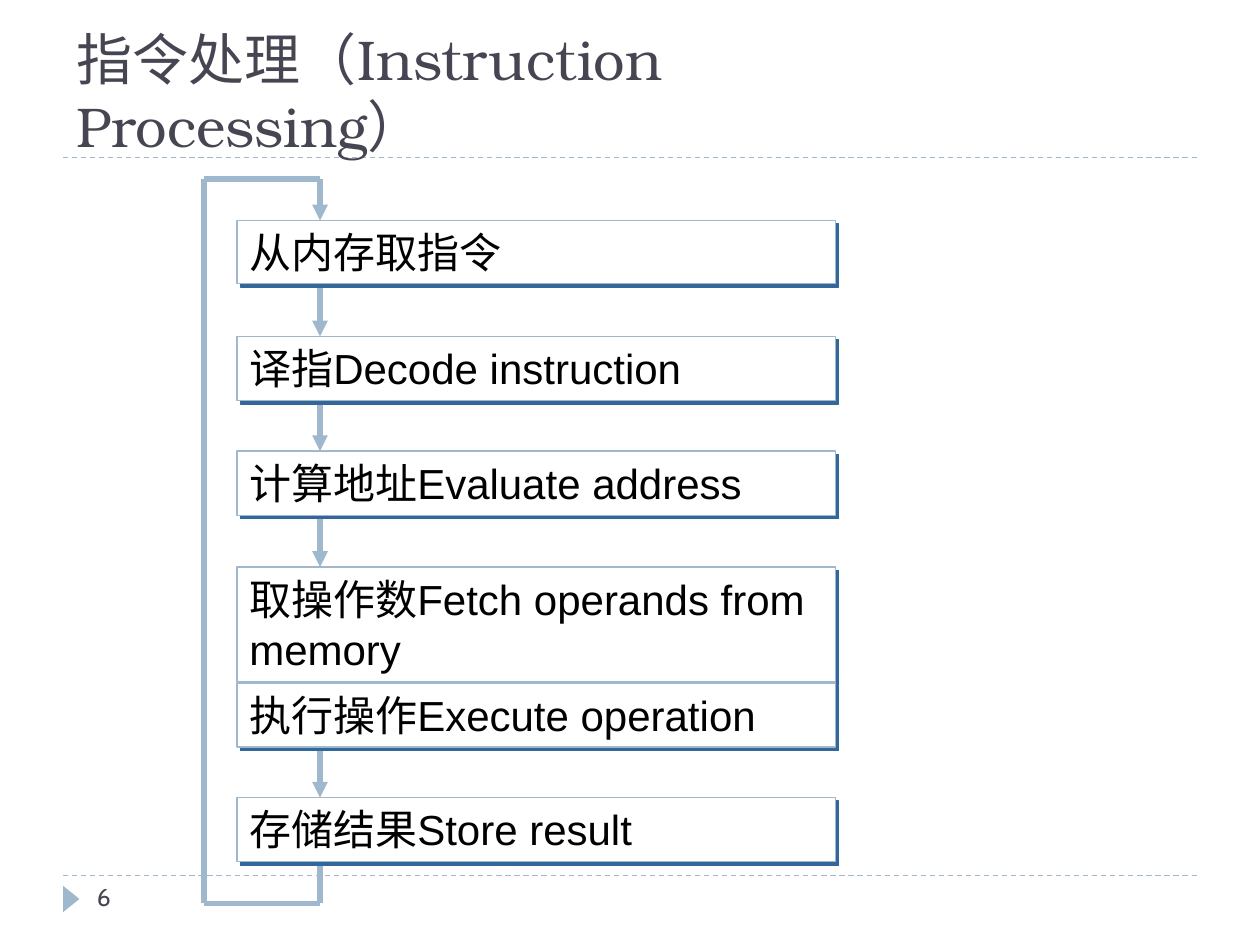
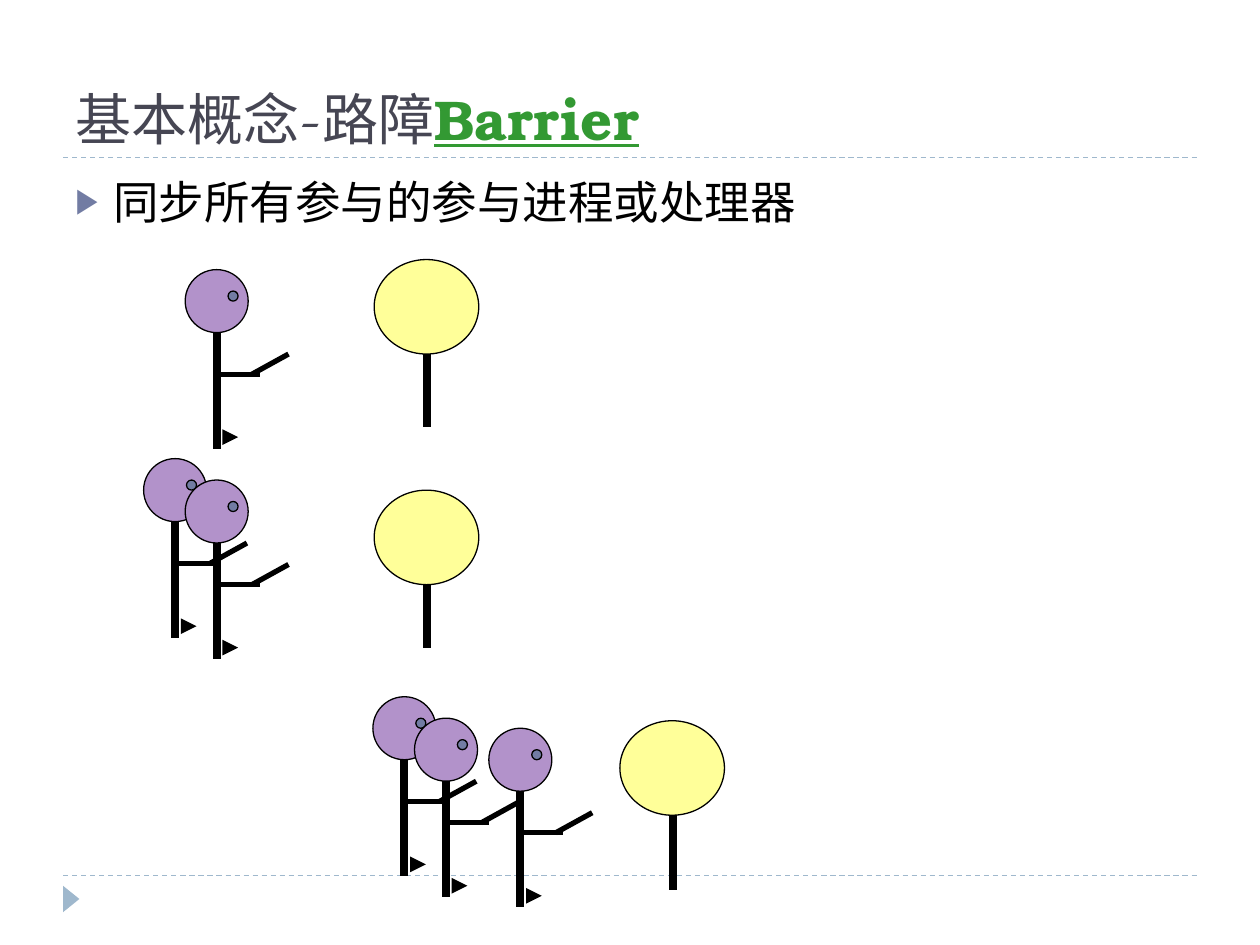
from dataclasses import dataclass
from typing import NamedTuple

from lxml.etree import SubElement
from pptx import Presentation
from pptx.dml.color import RGBColor
from pptx.enum.dml import MSO_LINE
from pptx.enum.shapes import MSO_CONNECTOR, MSO_SHAPE as Shape
from pptx.enum.text import MSO_ANCHOR as Anchor, MSO_AUTO_SIZE as AutoSize, PP_ALIGN as Align
from pptx.oxml.ns import qn
from pptx.util import Emu, Pt

EMU_PER_PX = 9144  # 100 px to the inch


@dataclass(frozen=True)
class Theme:
    title_font: str = "TeX Gyre Bonum"
    body_font: str = "Cabin"
    step_font: str = "Arial"
    title_size: int = 32
    body_size: int = 26
    step_size: int = 24
    small_size: int = 14
    hairline: float = 0.75
    stroke: float = 3
    post: float = 4.5
    ink: str = "000000"
    paper: str = "FFFFFF"
    heading: str = "464653"
    accent: str = "9FB8CD"
    shadow: str = "336699"
    bullet: str = "727CA3"
    keyword: str = "339933"
    head: str = "B292CA"
    sign: str = "FFFF99"


THEME = Theme()


class Box(NamedTuple):
    left: int
    top: int
    width: int
    height: int


class Span(NamedTuple):
    text: str
    color: str = THEME.heading
    strong: bool = False


class Step(NamedTuple):
    text: str
    height: int = 51
    arrow_length: int = 42


class Walker(NamedTuple):
    left: int
    top: int


class Barrier(NamedTuple):
    left: int
    top: int
    post: int


class Limb(NamedTuple):
    start: tuple[int, int]
    end: tuple[int, int]
    width: float = THEME.stroke
    arrow: bool = False


STEPS = [
    Step("从内存取指令", 50, 33),
    Step("译指Decode instruction"),
    Step("计算地址Evaluate address"),
    Step("取操作数Fetch operands from memory", 91),
    Step("执行操作Execute operation"),
    Step("存储结果Store result"),
]
STEP_LEFT, STEP_TOP, STEP_WIDTH = 188, 175, 475
STEP_PITCH = 275 / 3
FLOW_X, LOOP_X, LOOP_TOP, LOOP_BOTTOM = 254, 162, 142, 717

LIMBS = [
    Limb((25, 50), (25, 142), THEME.post),
    Limb((34, 133), (42, 133), arrow=True),
    Limb((25, 83), (59, 83)),
    Limb((53, 83), (82, 67)),
]
CROWDS = [
    [Walker(147, 214)],
    [Walker(114, 364), Walker(147, 381)],
    [Walker(296, 553), Walker(329, 570), Walker(388, 578)],
]
BARRIERS = [Barrier(297, 206, 58), Barrier(297, 389, 50), Barrier(492, 572, 59)]


def px(length: int) -> Emu:
    return Emu(length * EMU_PER_PX)


def rgb(color: str) -> RGBColor:
    return RGBColor.from_string(color)


def set_font(font, name: str, size: int, color: str | None = None) -> None:
    font.name, font.size = name, Pt(size)
    if color:
        font.color.rgb = rgb(color)


def add_line(shapes, start, end, color: str, width: float,
             arrow: bool = False, dashed: bool = False) -> None:
    line = shapes.add_connector(MSO_CONNECTOR.STRAIGHT, *map(px, (*start, *end)))
    line.line.color.rgb = rgb(color)
    line.line.width = Pt(width)
    if dashed:
        line.line.dash_style = MSO_LINE.DASH
    if arrow:
        SubElement(line.line._get_or_add_ln(), qn("a:tailEnd"), type="triangle")
    SubElement(line._element.spPr, qn("a:effectLst"))


def add_figure(shapes, kind: Shape, box: Box, fill: str, outline: str | None = None):
    figure = shapes.add_shape(kind, *map(px, box))
    figure.shadow.inherit = False
    figure.fill.solid()
    figure.fill.fore_color.rgb = rgb(fill)
    if outline:
        figure.line.color.rgb = rgb(outline)
        figure.line.width = Pt(THEME.hairline)
    else:
        figure.line.fill.background()
    return figure


def add_text(page, box: Box, anchor: Anchor = Anchor.TOP):
    """Add a wrapping text box and return its first paragraph."""
    frame = page.shapes.add_textbox(*map(px, box)).text_frame
    frame.word_wrap = True
    frame.vertical_anchor = anchor
    return frame.paragraphs[0]


def add_page(deck, title_box: Box, title: list[Span]):
    """Add a page with the shared rules, corner marker and title."""
    page = deck.slides.add_slide(deck.slide_layouts[6])
    for y in (695, 125):
        add_line(page.shapes, (50, y), (950, y), THEME.accent, THEME.hairline, dashed=True)
    marker = add_figure(page.shapes, Shape.ISOSCELES_TRIANGLE, Box(46, 707, 21, 13), THEME.accent)
    marker.rotation = 90
    para = add_text(page, title_box, Anchor.BOTTOM)
    set_font(para.font, THEME.title_font, THEME.title_size)
    for span in title:
        run = para.add_run()
        run.text = span.text
        run.font.color.rgb = rgb(span.color)
        if span.strong:
            run.font.bold = run.font.underline = True
    return page


def add_hard_shadow(figure) -> None:
    effects = figure._element.spPr.find(qn("a:effectLst"))
    shadow = SubElement(effects, qn("a:outerShdw"), blurRad="0", dist=str(Pt(2.8)),
                        dir="2700000", algn="ctr", rotWithShape="0")
    SubElement(shadow, qn("a:srgbClr"), val=THEME.shadow)


def add_step(page, step: Step, top: int) -> None:
    box = Box(STEP_LEFT, top, STEP_WIDTH, step.height)
    figure = add_figure(page.shapes, Shape.RECTANGLE, box, THEME.paper, THEME.accent)
    add_hard_shadow(figure)
    frame = figure.text_frame
    frame.word_wrap = True
    frame.auto_size = AutoSize.SHAPE_TO_FIT_TEXT
    frame.vertical_anchor = Anchor.TOP
    para = frame.paragraphs[0]
    para.text = step.text
    para.alignment = Align.LEFT
    set_font(para.font, THEME.step_font, THEME.step_size, THEME.ink)


def add_walker(shapes, walker: Walker) -> None:
    left, top = walker
    add_figure(shapes, Shape.OVAL, Box(left, top, 50, 50), THEME.head, THEME.ink)
    for limb in LIMBS:
        start, end = ((left + x, top + y) for x, y in (limb.start, limb.end))
        add_line(shapes, start, end, THEME.ink, limb.width, limb.arrow)
    add_figure(shapes, Shape.OVAL, Box(left + 34, top + 17, 8, 8), THEME.bullet, THEME.ink)


def add_barrier(page, barrier: Barrier) -> None:
    left, top, post = barrier
    add_figure(page.shapes, Shape.OVAL, Box(left, top, 83, 75), THEME.sign, THEME.ink)
    x, foot = left + 42, top + 75
    add_line(page.shapes, (x, foot), (x, foot + post), THEME.ink, THEME.post)


def add_bullet(para) -> None:
    properties = para._p.get_or_add_pPr()
    properties.set("marL", str(px(30)))
    properties.set("indent", str(px(-30)))
    color = SubElement(properties, qn("a:buClr"))
    SubElement(color, qn("a:srgbClr"), val=THEME.bullet)
    SubElement(properties, qn("a:buSzPct"), val="76000")
    SubElement(properties, qn("a:buFont"), typeface=THEME.step_font)
    SubElement(properties, qn("a:buChar"), char="▶")


def build_instruction_page(deck) -> None:
    page = add_page(deck, Box(51, 36, 768, 95), [Span("指令处理（Instruction Processing）")])
    number = add_text(page, Box(67, 695, 217, 40))
    number.text = "6"
    set_font(number.font, THEME.body_font, THEME.small_size, THEME.heading)

    tops = [round(STEP_TOP + index * STEP_PITCH) for index in range(len(STEPS))]
    loop = [(FLOW_X, tops[-1] + STEPS[-1].height), (FLOW_X, LOOP_BOTTOM),
            (LOOP_X, LOOP_BOTTOM), (LOOP_X, LOOP_TOP), (FLOW_X, LOOP_TOP)]
    for start, end in zip(loop, loop[1:]):
        add_line(page.shapes, start, end, THEME.accent, THEME.stroke)
    for step, top in zip(STEPS, tops):
        add_line(page.shapes, (FLOW_X, top - step.arrow_length), (FLOW_X, top),
                 THEME.accent, THEME.stroke, arrow=True)
    for step, top in zip(STEPS, tops):
        add_step(page, step, top)


def build_barrier_page(deck) -> None:
    page = add_page(deck, Box(50, 17, 900, 108),
                    [Span("基本概念-路障"), Span("Barrier", THEME.keyword, True)])
    para = add_text(page, Box(50, 133, 900, 540))
    para.text = "同步所有参与的参与进程或处理器"
    add_bullet(para)
    set_font(para.font, THEME.body_font, THEME.body_size, THEME.ink)
    for barrier in BARRIERS:
        add_barrier(page, barrier)
    for crowd in CROWDS:
        group = page.shapes.add_group_shape()
        for walker in crowd:
            add_walker(group.shapes, walker)


def main() -> None:
    deck = Presentation()
    deck.slide_width, deck.slide_height = px(1000), px(750)
    build_instruction_page(deck)
    build_barrier_page(deck)
    deck.save("out.pptx")


if __name__ == "__main__":
    main()
